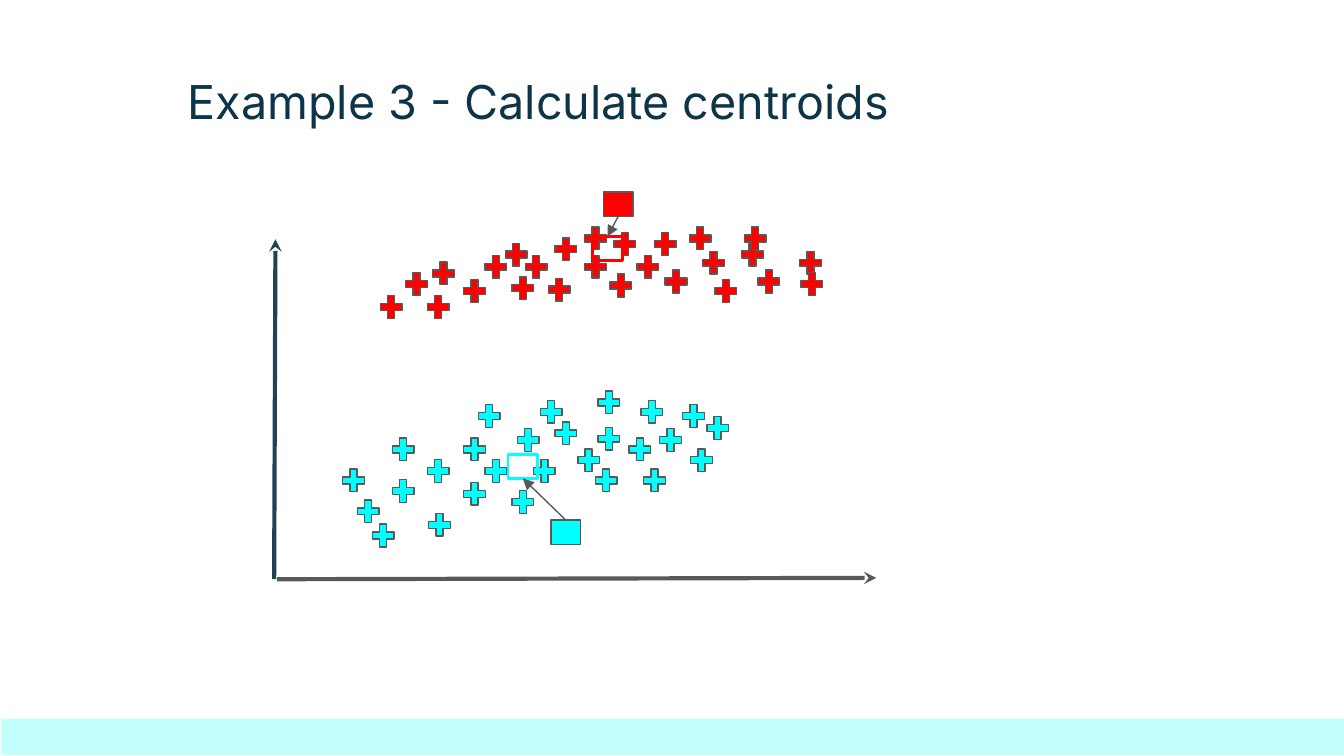
from lxml.etree import SubElement
from pptx import Presentation
from pptx.dml.color import RGBColor
from pptx.enum.shapes import MSO_CONNECTOR, MSO_SHAPE
from pptx.enum.text import MSO_ANCHOR
from pptx.oxml.ns import qn
from pptx.util import Inches, Pt

RED = "FF0000"
CYAN = "00FFFF"
GRAY = "595959"
NAVY = "0E3449"
TEAL = "1F4352"
PALE_CYAN = "C3FFFC"

POINT_SIZE = (0.22, 0.23)
CENTROID_SIZE = (0.22, 0.18)

CYAN_POINTS = [
    (0.52, 2.46), (0.74, 2.87), (0.89, 2.54), (1.16, 2.79), (0.89, 2.23),
    (1.53, 1.98), (1.94, 2.39), (1.78, 2.62), (1.82, 2.16), (1.15, 2.39),
    (1.42, 2.56), (1.42, 2.23), (1.58, 2.39), (2.1, 2.11), (2.27, 2.31),
    (1.99, 1.95), (2.42, 2.15), (2.65, 2.23), (2.42, 1.88), (2.74, 1.95),
    (3.23, 2.07), (2.4, 2.46), (2.88, 2.16), (3.05, 1.98), (2.76, 2.46),
    (3.11, 2.31), (0.63, 2.69),
]
RED_POINTS = [
    (1.58, 0.87), (1.42, 1.05), (1.73, 0.78), (1.78, 1.03), (1.88, 0.87),
    (2.05, 1.04), (2.1, 0.74), (2.32, 0.66), (2.32, 0.87), (2.54, 0.7),
    (2.71, 0.87), (2.51, 1.01), (0.99, 1), (1.15, 1.17), (0.8, 1.17),
    (2.84, 0.7), (2.92, 0.98), (3.1, 0.66), (3.2, 0.84), (3.29, 1.05),
    (3.49, 0.78), (3.61, 0.98), (3.51, 0.66), (3.92, 0.84), (3.93, 1),
    (1.19, 0.92),
]


def color(value):
    return RGBColor.from_string(value)


def add_shape(slide, kind, left, top, size, fill=None, line=None, width=0.75):
    shape = slide.shapes.add_shape(
        kind, Inches(left), Inches(top), Inches(size[0]), Inches(size[1])
    )
    shape.shadow.inherit = False
    if fill:
        shape.fill.solid()
        shape.fill.fore_color.rgb = color(fill)
    else:
        shape.fill.background()
    if line:
        shape.line.color.rgb = color(line)
        shape.line.width = Pt(width)
    else:
        shape.line.fill.background()
    return shape


def add_arrow(slide, start, end, line, width, head):
    arrow = slide.shapes.add_connector(
        MSO_CONNECTOR.STRAIGHT, *(Inches(value) for value in (*start, *end))
    )
    arrow.line.color.rgb = color(line)
    arrow.line.width = Pt(width)
    properties = arrow._element.spPr
    SubElement(properties.find(qn("a:ln")), qn("a:tailEnd"), type=head, w="med", len="med")
    SubElement(properties, qn("a:effectLst"))


def add_title(slide, left, top, width, height):
    box = slide.shapes.add_textbox(
        Inches(left), Inches(top), Inches(width), Inches(height)
    )
    frame = box.text_frame
    frame.word_wrap = True
    frame.vertical_anchor = MSO_ANCHOR.TOP
    frame.margin_left = frame.margin_right = Inches(0.1)
    frame.margin_top = frame.margin_bottom = Inches(0.1)
    paragraph = frame.paragraphs[0]
    paragraph.text = "Example 3 - Calculate centroids"
    paragraph.font.name = "Inter"
    paragraph.font.size = Pt(25)
    paragraph.font.color.rgb = color(NAVY)


def add_points(slide, left, top, points, fill):
    for x, y in points:
        point = add_shape(
            slide, MSO_SHAPE.MATH_PLUS, left + x, top + y, POINT_SIZE, fill, GRAY
        )
        point.adjustments[0] = 0.235


def add_centroid_move(slide, left, top, old, new, fill):
    width, height = CENTROID_SIZE
    old_x, old_y = left + old[0], top + old[1]
    new_x, new_y = left + new[0], top + new[1]
    add_shape(slide, MSO_SHAPE.RECTANGLE, old_x, old_y, CENTROID_SIZE, fill, GRAY)
    add_shape(
        slide, MSO_SHAPE.RECTANGLE, new_x, new_y, CENTROID_SIZE, line=fill, width=1.5
    )
    moves_down = new_y > old_y
    start = (old_x + width / 2, old_y + height if moves_down else old_y)
    end = (new_x + width / 2, new_y if moves_down else new_y + height)
    add_arrow(slide, start, end, GRAY, 0.75, "triangle")


def add_scatter(slide, left, top, width, height):
    bottom = top + height
    add_arrow(
        slide, (left + 0.04, bottom), (left + 0.05, top + 0.78), TEAL, 2.25, "stealth"
    )
    add_arrow(
        slide, (left + 0.06, bottom), (left + width, bottom - 0.01), GRAY, 2.25, "stealth"
    )
    add_points(slide, left, top, CYAN_POINTS, CYAN)
    add_points(slide, left, top, RED_POINTS, RED)
    add_centroid_move(slide, left, top, (2.49, 0.43), (2.41, 0.76), RED)
    add_centroid_move(slide, left, top, (2.1, 2.87), (1.78, 2.38), CYAN)


def main():
    presentation = Presentation()
    presentation.slide_width = Inches(10)
    presentation.slide_height = presentation.slide_width * 9 // 16
    slide = presentation.slides.add_slide(presentation.slide_layouts[6])
    add_title(slide, 1.3, 0.44, 5.81, 0.58)
    add_shape(slide, MSO_SHAPE.RECTANGLE, 0.01, 5.35, (10, 0.27), PALE_CYAN)
    add_scatter(slide, 2, 1, 4.52, 3.31)
    presentation.save("out.pptx")


if __name__ == "__main__":
    main()
